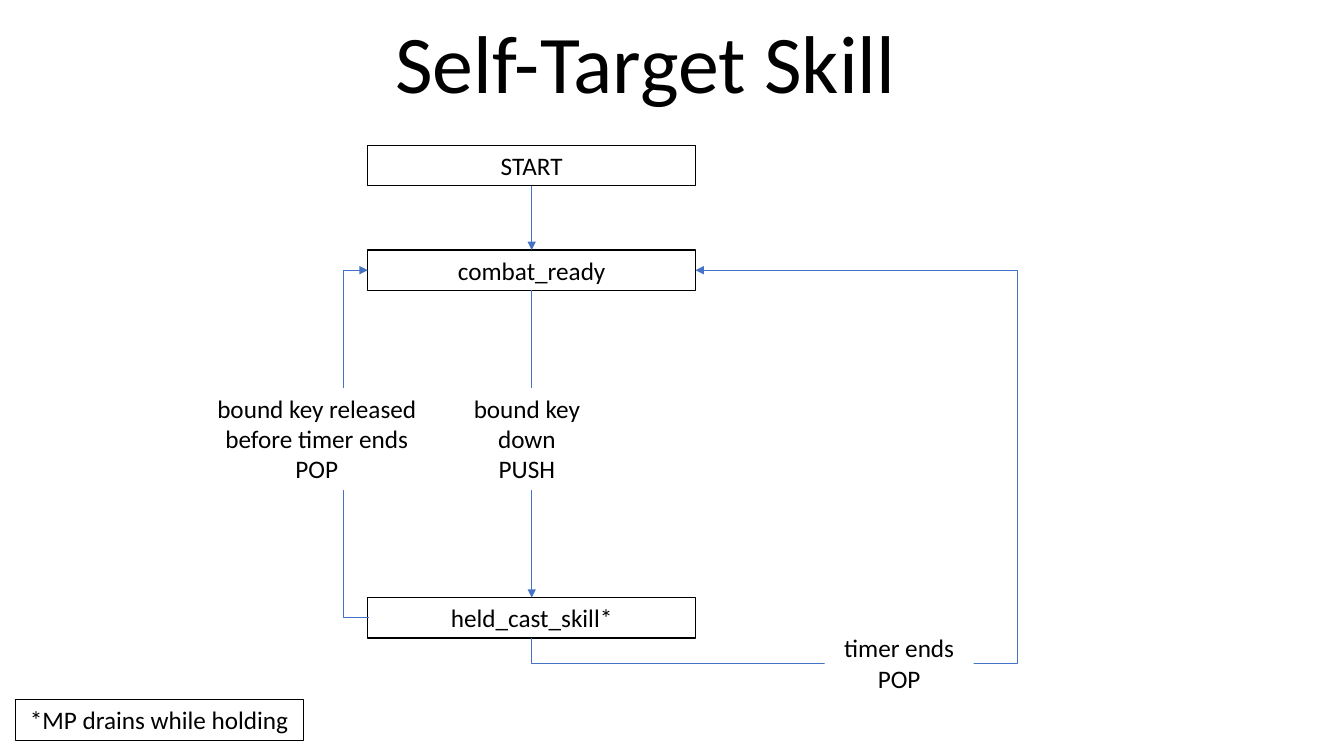
"""Build the Self-Target Skill state diagram slide."""
from lxml.etree import SubElement
from pptx import Presentation
from pptx.dml.color import RGBColor
from pptx.enum.shapes import MSO_CONNECTOR, MSO_SHAPE
from pptx.enum.text import MSO_ANCHOR, PP_ALIGN
from pptx.oxml.ns import qn
from pptx.util import Cm, Pt

COLORS = {"text": "000000", "box": "FFFFFF", "arrow": "4472C4"}

prs = Presentation()
prs.slide_width, prs.slide_height = Cm(33.87), Cm(19.05)
s = prs.slides.add_slide(prs.slide_layouts[6])


def add_text(text, x, y, w, h, size=18, fill=None, line=None,
             anchor=MSO_ANCHOR.TOP, spacing=None):
    """Add a rectangle with one centred paragraph per line of text."""
    sp = s.shapes.add_shape(MSO_SHAPE.RECTANGLE, Cm(x), Cm(y), Cm(w), Cm(h))
    sp.shadow.inherit = False
    if fill:
        sp.fill.solid()
        sp.fill.fore_color.rgb = RGBColor.from_string(COLORS[fill])
    else:
        sp.fill.background()
    if line:
        sp.line.color.rgb = RGBColor.from_string(COLORS["text"])
        sp.line.width = Pt(line)
    else:
        sp.line.fill.background()
    tf = sp.text_frame
    tf.word_wrap = True
    tf.vertical_anchor = anchor
    for i, part in enumerate(text.split("\n")):
        p = tf.paragraphs[0] if i == 0 else tf.add_paragraph()
        p.alignment = PP_ALIGN.CENTER
        p.line_spacing = spacing
        r = p.add_run()
        r.text = part
        r.font.name = "Calibri"
        r.font.size = Pt(size)
        r.font.color.rgb = RGBColor.from_string(COLORS["text"])
    return sp


def add_arrow(kind, x1, y1, x2, y2, preset=None, adjust=(), rotation=0):
    """Add a thin arrow, with optional bends given as fractions of its size."""
    cx = s.shapes.add_connector(kind, Cm(x1), Cm(y1), Cm(x2), Cm(y2))
    cx.line.color.rgb = RGBColor.from_string(COLORS["arrow"])
    cx.line.width = Pt(0.5)
    SubElement(cx.line._get_or_add_ln(), qn("a:tailEnd"), type="triangle")
    spPr = cx._element.spPr
    SubElement(spPr, qn("a:effectLst"))
    if preset:
        geom = spPr.find(qn("a:prstGeom"))
        geom.set("prst", preset)
        guides = geom.find(qn("a:avLst"))
        for i, value in enumerate(adjust, 1):
            SubElement(guides, qn("a:gd"), name=f"adj{i}",
                       fmla=f"val {round(value * 100000)}")
    if rotation:
        spPr.find(qn("a:xfrm")).set("rot", str(rotation * 60000))
    return cx


add_text("Self-Target Skill", 0.38, 0.41, 31.78, 2.46, size=58.5,
         anchor=MSO_ANCHOR.BOTTOM, spacing=0.8)

left, width, height = 9.27, 8.26, 1.02
right, middle = left + width, left + width / 2
tops = {"START": 3.66, "combat_ready": 6.3, "held_cast_skill*": 15.06}
states = [add_text(name, left, top, width, height, fill="box", line=1)
          for name, top in tops.items()]

for upper, lower in zip(states, states[1:]):
    cx = add_arrow(MSO_CONNECTOR.STRAIGHT, middle, 0, middle, 1)
    cx.begin_connect(upper, 2)
    cx.end_connect(lower, 0)

ready_y = tops["combat_ready"] + height / 2
held_y = tops["held_cast_skill*"] + height / 2
held_bottom = tops["held_cast_skill*"] + height

inset, bend_x = 0.03, 8.66
add_arrow(MSO_CONNECTOR.ELBOW, left + inset, held_y, left, ready_y,
          "bentConnector3", [(left + inset - bend_x) / inset])

rise, run = held_bottom - ready_y, right - middle
center_x, center_y = (middle + right) / 2, (ready_y + held_bottom) / 2
drop, reach = 0.64, 25.63 - middle
add_arrow(MSO_CONNECTOR.ELBOW,
          center_x + rise / 2, center_y + run / 2,
          center_x - rise / 2, center_y - run / 2,
          "bentConnector4", [-drop / rise, reach / run], rotation=90)

for text, x, y, w, h in [
    ("bound key down\nPUSH", 11.63, 9.78, 3.3, 2.57),
    ("bound key released before timer ends\nPOP", 4.9, 9.78, 6.17, 2.57),
    ("timer ends\nPOP", 20.78, 15.82, 3.76, 1.8),
]:
    add_text(text, x, y, w, h, fill="box")

add_text("*MP drains while holding", 0.38, 17.63, 7.26, height, line=0.75)

prs.save("out.pptx")
